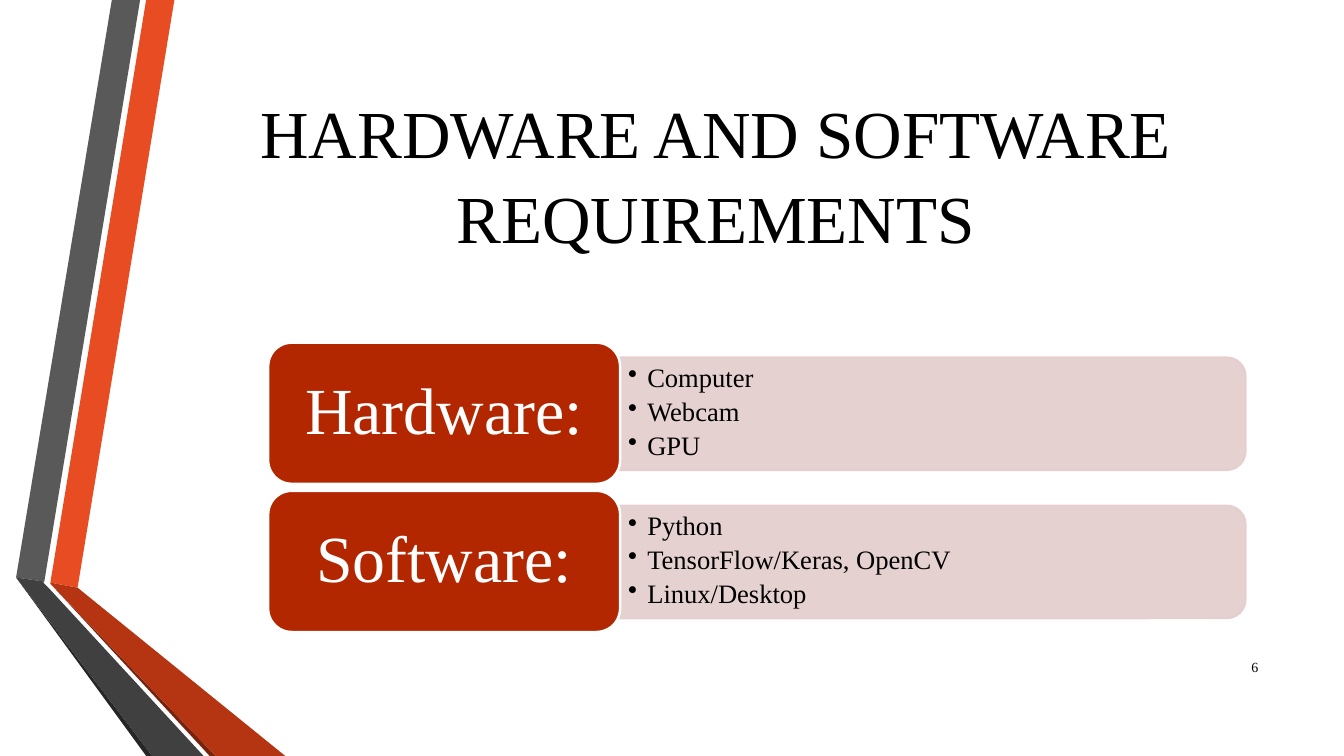
from lxml import etree
from pptx import Presentation, util as u
from pptx.dml import color
from pptx.enum import shapes, text
from pptx.oxml import ns

PX = 9144
FONT = "Times New Roman"
BLACK, WHITE, RUST, BLUSH = "000000", "FFFFFF", "B22600", "E4CDCC"

RIBBONS = [
    ("E84C22", [(50, 578), (77, 583), (173, 0), (145, 0)]),
    ("595959", [(139, 0), (111, 0), (16, 573), (44, 577)]),
    ("262626", [(16, 573), (145, 750), (151, 750)]),
    ("78230D", [(50, 579), (208, 750), (214, 750)]),
    ("B53513", [(50, 579), (214, 750), (283, 750), (77, 583), (50, 578)]),
    ("404040", [(202, 750), (48, 583), (43, 578), (44, 577), (16, 573), (151, 750)]),
]
REQUIREMENTS = [
    ("Hardware:", ["Computer", "Webcam", "GPU"]),
    ("Software:", ["Python", "TensorFlow/Keras, OpenCV", "Linux/Desktop"]),
]
ROW_TOP, ROW_PITCH = 340, 147


def rgb(code):
    return color.RGBColor.from_string(code)


class Deck:
    def __init__(self, width, height):
        self.prs = Presentation()
        self.prs.slide_width, self.prs.slide_height = width * PX, height * PX
        self.slide = self.prs.slides.add_slide(self.prs.slide_layouts[6])

    def paint(self, shape, fill, line=None, weight=0, alpha=None):
        shape.shadow.inherit = False
        shape.fill.solid()
        shape.fill.fore_color.rgb = rgb(fill)
        if line:
            shape.line.color.rgb = rgb(line)
            shape.line.width = u.Pt(weight)
        else:
            shape.line.fill.background()
        if alpha:
            for tint in shape._element.spPr.iter(ns.qn("a:srgbClr")):
                etree.SubElement(tint, ns.qn("a:alpha"), val=str(alpha * 1000))

    def ribbon(self, fill, points):
        outline = self.slide.shapes.build_freeform(*points[0], scale=PX)
        outline.add_line_segments(points[1:], close=True)
        self.paint(outline.convert_to_shape(), fill)

    def block(self, kind, box, fill, line, weight, turn=0, alpha=None):
        shape = self.slide.shapes.add_shape(kind, *(v * PX for v in box))
        shape.rotation = turn
        self.paint(shape, fill, line, weight, alpha)
        return shape

    def set_text(self, shape, lines, size, ink, align, insets=(10, 5),
                 spacing=1.0, after=0, indent=0):
        frame = shape.text_frame
        frame.text = "\n".join(lines)
        frame.word_wrap = True
        frame.vertical_anchor = text.MSO_ANCHOR.MIDDLE
        frame.margin_left = frame.margin_right = insets[0] * PX
        frame.margin_top = frame.margin_bottom = insets[1] * PX
        for paragraph in frame.paragraphs:
            if indent:
                props = paragraph._p.get_or_add_pPr()
                props.set("marL", str(indent * PX))
                props.set("indent", str(-indent * PX))
                etree.SubElement(props, ns.qn("a:buChar"), char="•")
            paragraph.alignment = align
            paragraph.line_spacing = spacing
            paragraph.space_after = u.Pt(after)
            for run in paragraph.runs:
                run.font.name = FONT
                run.font.size = u.Pt(size)
                run.font.color.rgb = rgb(ink)

    def textbox(self, box, lines, size, align, **layout):
        shape = self.slide.shapes.add_textbox(*(v * PX for v in box))
        self.set_text(shape, lines, size, BLACK, align, **layout)

    def requirement(self, top, heading, items):
        self.block(shapes.MSO_SHAPE.ROUND_2_SAME_RECTANGLE, (869, top - 240, 112, 621),
                   BLUSH, BLUSH, 1.25, turn=90, alpha=90)
        self.textbox((615, top + 19, 615, 101), items, 19, text.PP_ALIGN.LEFT,
                     insets=(8, 4), spacing=0.9, after=3.5, indent=19)
        label = self.block(shapes.MSO_SHAPE.ROUNDED_RECTANGLE, (266, top, 349, 140),
                           RUST, WHITE, 1.75)
        self.set_text(label, [heading], 47, WHITE, text.PP_ALIGN.CENTER,
                      insets=(20, 10), spacing=0.9)


def main():
    deck = Deck(1333, 750)
    for fill, points in RIBBONS:
        deck.ribbon(fill, points)
    deck.textbox((162, 75, 1096, 192), ["HARDWARE AND SOFTWARE REQUIREMENTS"], 48,
                 text.PP_ALIGN.CENTER, spacing=1.05)
    for row, (heading, items) in enumerate(REQUIREMENTS):
        deck.requirement(ROW_TOP + row * ROW_PITCH, heading, items)
    deck.textbox((1198, 642, 60, 40), ["6"], 10, text.PP_ALIGN.RIGHT)
    deck.prs.save("out.pptx")


if __name__ == "__main__":
    main()
